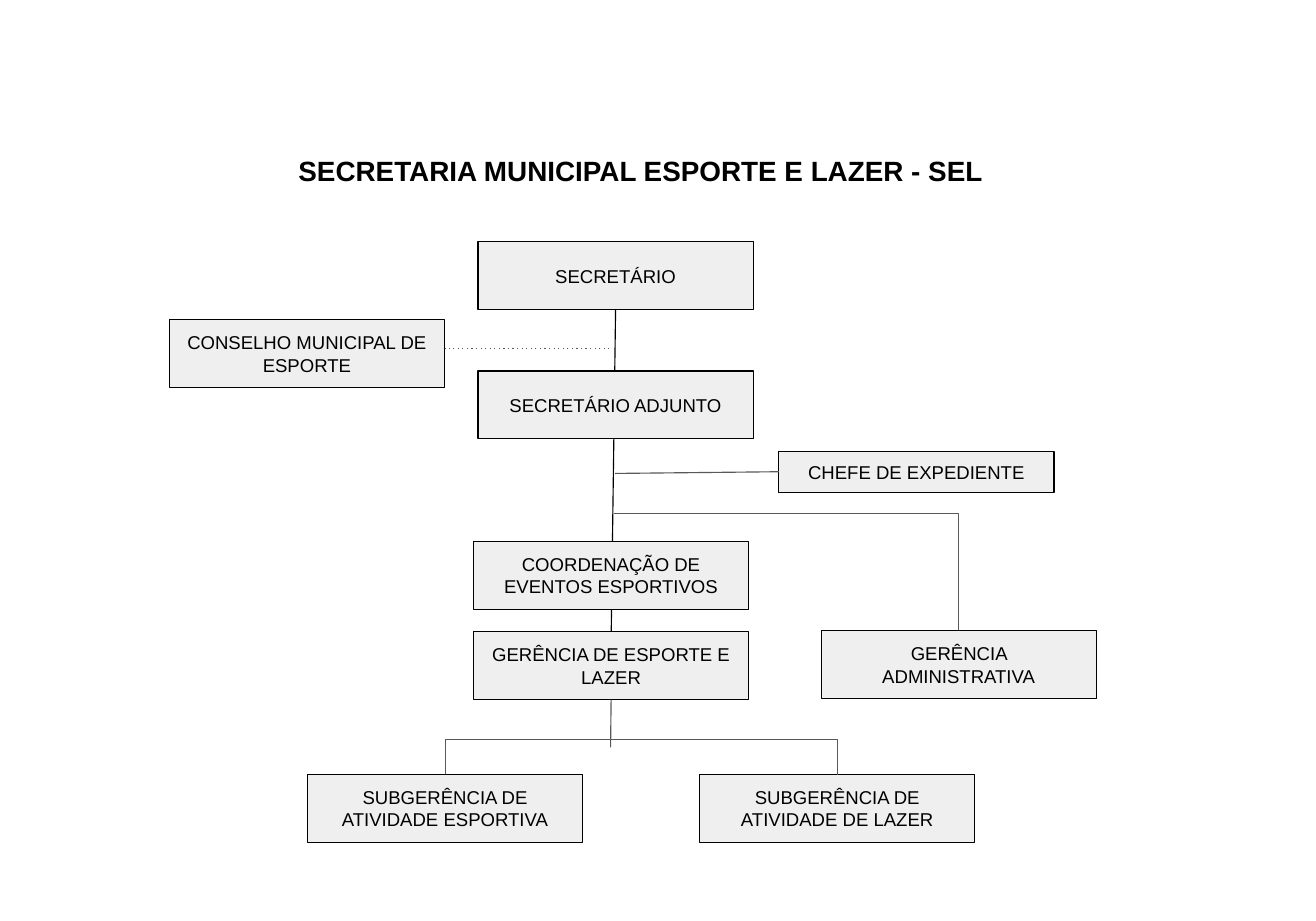
from lxml import etree
from pptx import Presentation
from pptx.dml.color import RGBColor
from pptx.enum.dml import MSO_LINE as Dash
from pptx.enum.shapes import MSO_CONNECTOR as Link, MSO_SHAPE as Kind
from pptx.enum.text import MSO_ANCHOR as Anchor, PP_ALIGN as Align
from pptx.oxml.ns import qn
from pptx.util import Cm, Pt

PX = 9144  # 100 px to the inch
INK = {"text": "000000", "box": "EFEFEF", "edge": "000000", "link": "595959"}


def write(shape, text, size, bold=False):
    """Put one centred run into the shape, with its insets."""
    frame = shape.text_frame
    frame.word_wrap = True
    frame.margin_left = frame.margin_right = 11 * PX
    frame.margin_top = frame.margin_bottom = 10 * PX
    para = frame.paragraphs[0]
    para.alignment = Align.CENTER
    run = para.add_run()
    run.text = text
    run.font.name = "Arial"
    run.font.size = Pt(size)
    run.font.bold = bold
    run.font.color.rgb = RGBColor.from_string(INK["text"])


def join(kind, x1, y1, x2, y2, ink="link"):
    """Add a thin connector without a shadow."""
    line = slide.shapes.add_connector(kind, x1 * PX, y1 * PX, x2 * PX, y2 * PX)
    line.line.width = Pt(0.75)
    line.line.color.rgb = RGBColor.from_string(INK[ink])
    etree.SubElement(line._element.spPr, qn("a:effectLst"))
    return line


deck = Presentation()
deck.slide_width, deck.slide_height = Cm(30), Cm(21)
slide = deck.slides.add_slide(deck.slide_layouts[6])

title = slide.shapes.add_textbox(76 * PX, 128 * PX, 998 * PX, 53 * PX)
write(title, "SECRETARIA MUNICIPAL ESPORTE E LAZER - SEL", 18, True)

# The trunk comes first, so that the boxes cover it
trunk = join(Link.STRAIGHT, 553, 278, 548, 611, "edge")

staff = [
    ("head", 429, 217, 61, "SECRETÁRIO"),
    ("deputy", 429, 333, 61, "SECRETÁRIO ADJUNTO"),
    ("council", 152, 287, 61, "CONSELHO MUNICIPAL DE ESPORTE"),
    ("clerk", 699, 405, 37, "CHEFE DE EXPEDIENTE"),
    ("events", 425, 486, 61, "COORDENAÇÃO DE EVENTOS ESPORTIVOS"),
    ("sport", 425, 567, 61, "GERÊNCIA DE ESPORTE E LAZER"),
    ("admin", 737, 566, 61, "GERÊNCIA ADMINISTRATIVA"),
    ("active", 276, 695, 61, "SUBGERÊNCIA DE ATIVIDADE ESPORTIVA"),
    ("leisure", 628, 695, 61, "SUBGERÊNCIA DE ATIVIDADE DE LAZER"),
]
boxes = {}
for name, x, y, high, text in staff:
    box = slide.shapes.add_shape(Kind.RECTANGLE, x * PX, y * PX, 247 * PX, high * PX)
    box.shadow.inherit = False
    box.fill.solid()
    box.fill.fore_color.rgb = RGBColor.from_string(INK["box"])
    box.line.width = Pt(0.75)
    box.line.color.rgb = RGBColor.from_string(INK["edge"])
    box.text_frame.vertical_anchor = Anchor.MIDDLE
    write(box, text, 12)
    boxes[name] = box
trunk.begin_connect(boxes["head"], 2)

advice = join(Link.STRAIGHT, 547, 313, 399, 313)
advice.line.dash_style = Dash.ROUND_DOT
advice._element.spPr.find(".//" + qn("a:prstDash")).set("val", "dot")
desk = join(Link.STRAIGHT, 699, 424, 552, 425)
desk.begin_connect(boxes["clerk"], 1)
stem = join(Link.STRAIGHT, 548, 628, 548, 671)
stem.begin_connect(boxes["sport"], 2)

# One corner: across from the trunk, then down to the office
branch = join(Link.ELBOW, 551, 461, 860, 566)
branch._element.spPr.find(qn("a:prstGeom")).set("prst", "bentConnector2")

# A quarter turn lays the fork flat; its rail runs 31 px above the boxes
fork = join(Link.ELBOW, 576, 519, 575, 871)
props = fork._element.spPr
props.find(qn("a:xfrm")).set("rot", "16200000")
guides = props.find(qn("a:prstGeom")).get_or_add_avLst()
etree.SubElement(guides, qn("a:gd"), name="adj1", fmla="val -3100000")

deck.save("out.pptx")
